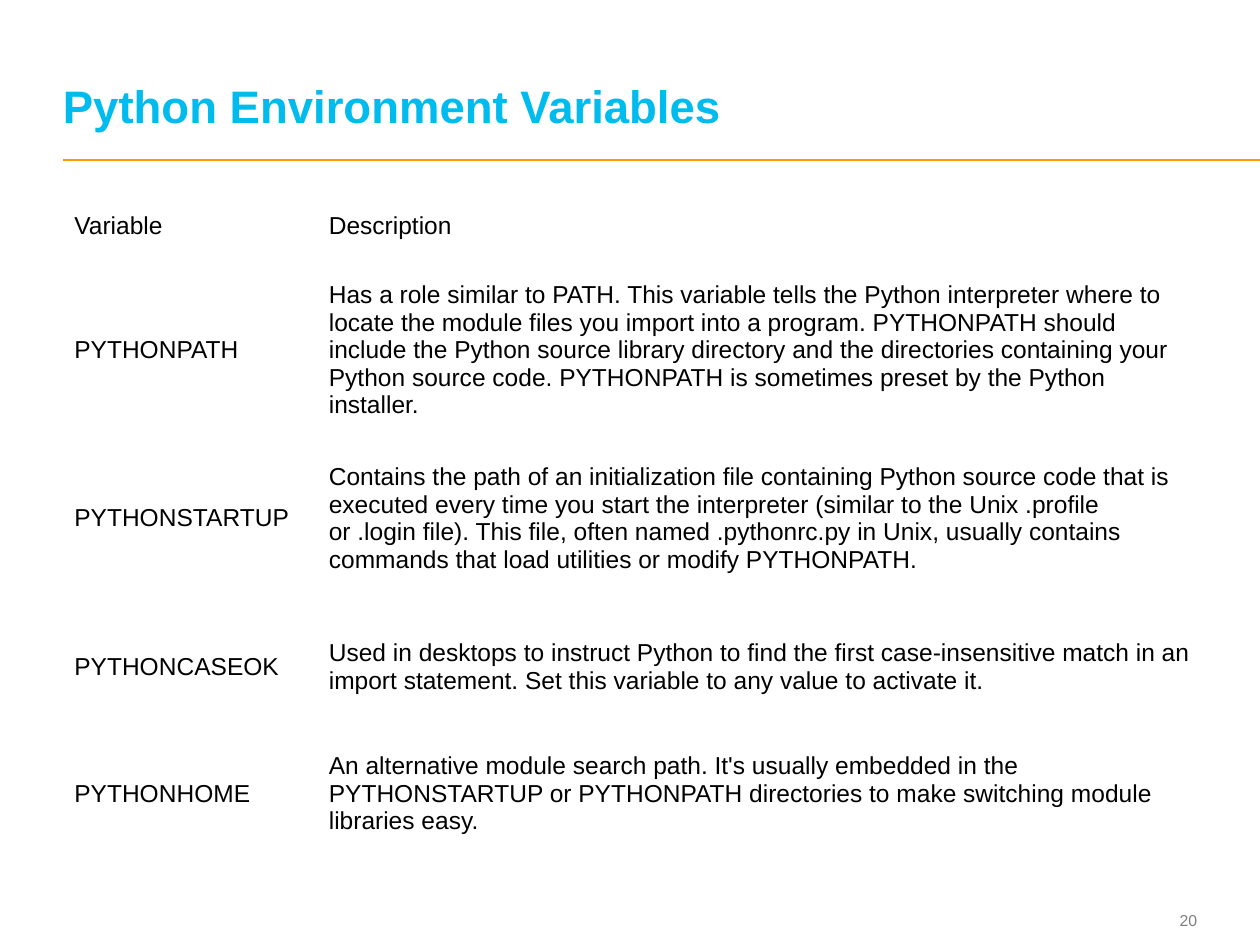
from pptx import Presentation
from pptx.dml.color import RGBColor
from pptx.enum.shapes import MSO_CONNECTOR
from pptx.enum.text import MSO_ANCHOR, PP_ALIGN
from pptx.oxml.ns import qn
from pptx.util import Inches, Pt
from lxml import etree

STRAIGHT = MSO_CONNECTOR.STRAIGHT
MIDDLE, BOTTOM = MSO_ANCHOR.MIDDLE, MSO_ANCHOR.BOTTOM
LEFT, RIGHT = PP_ALIGN.LEFT, PP_ALIGN.RIGHT

BLACK = RGBColor(0x00, 0x00, 0x00)
GRAY = RGBColor(0x7F, 0x7F, 0x7F)
CYAN = RGBColor(0x00, 0xBB, 0xEE)
ORANGE = RGBColor(0xFF, 0x99, 0x00)

FONT = "Arial"
MARGIN = Inches(0.5)
COLUMN_WIDTHS = [2.02, 6.97]
ROW_HEIGHTS = [0.58, 1.4, 1.27, 1.09, 0.92]
VARIABLES = [
    ("Variable", "Description"),
    ("PYTHONPATH",
     "Has a role similar to PATH. This variable tells the Python interpreter "
     "where to locate the module files you import into a program. PYTHONPATH "
     "should include the Python source library directory and the directories "
     "containing your Python source code. PYTHONPATH is sometimes preset by "
     "the Python installer."),
    ("PYTHONSTARTUP",
     "Contains the path of an initialization file containing Python source "
     "code that is executed every time you start the interpreter (similar to "
     "the Unix .profile or .login file). This file, often named .pythonrc.py "
     "in Unix, usually contains commands that load utilities or modify "
     "PYTHONPATH."),
    ("PYTHONCASEOK",
     "Used in desktops to instruct Python to find the first case-insensitive "
     "match in an import statement. Set this variable to any value to "
     "activate it."),
    ("PYTHONHOME",
     "An alternative module search path. It's usually embedded in the "
     "PYTHONSTARTUP or PYTHONPATH directories to make switching module "
     "libraries easy."),
]


def write(paragraph, text, size, color, bold=False):
    run = paragraph.add_run()
    run.text = text
    run.font.name = FONT
    run.font.size = Pt(size)
    run.font.bold = bold
    run.font.color.rgb = color


def add_label(slide, box, text, size, color, anchor, align, bold=False):
    frame = slide.shapes.add_textbox(*box).text_frame
    frame.word_wrap = True
    frame.vertical_anchor = anchor
    frame.margin_left = frame.margin_right = 0
    frame.margin_top = frame.margin_bottom = 0
    paragraph = frame.paragraphs[0]
    paragraph.alignment = align
    paragraph.line_spacing = Pt(size)
    write(paragraph, text, size, color, bold)


presentation = Presentation()
presentation.slide_width = Inches(10)
presentation.slide_height = Inches(7.5)
slide = presentation.slides.add_slide(presentation.slide_layouts[6])
right_edge = presentation.slide_width - MARGIN

# Rule below the title, running to the slide's edge
rule = slide.shapes.add_connector(
    STRAIGHT, MARGIN, Inches(1.27), presentation.slide_width, Inches(1.27))
rule.line.color.rgb = ORANGE
rule.line.width = Pt(1)
etree.SubElement(rule._element.spPr, qn("a:effectLst"))

# Page number and title
number_width = Inches(0.59)
add_label(slide, (right_edge - number_width, Inches(7.18), number_width, Inches(0.27)),
          "20", 9, GRAY, MIDDLE, RIGHT)
add_label(slide, (MARGIN, Inches(0.19), right_edge - MARGIN, Inches(0.86)),
          "Python Environment Variables", 26, CYAN, BOTTOM, LEFT, bold=True)

# Table of variables
table = slide.shapes.add_table(
    len(ROW_HEIGHTS), len(COLUMN_WIDTHS), Inches(0.54), Inches(1.5),
    Inches(sum(COLUMN_WIDTHS)), Inches(sum(ROW_HEIGHTS))).table
table.first_row = table.horz_banding = False
for column, width in zip(table.columns, COLUMN_WIDTHS):
    column.width = Inches(width)
for row, height, texts in zip(table.rows, ROW_HEIGHTS, VARIABLES):
    row.height = Inches(height)
    for cell, text in zip(row.cells, texts):
        cell.fill.background()
        cell.vertical_anchor = MIDDLE
        cell.margin_left = cell.margin_right = Inches(0.05)
        cell.margin_top = cell.margin_bottom = Inches(0.02)
        write(cell.text_frame.paragraphs[0], text, 14, BLACK)

presentation.save("out.pptx")
